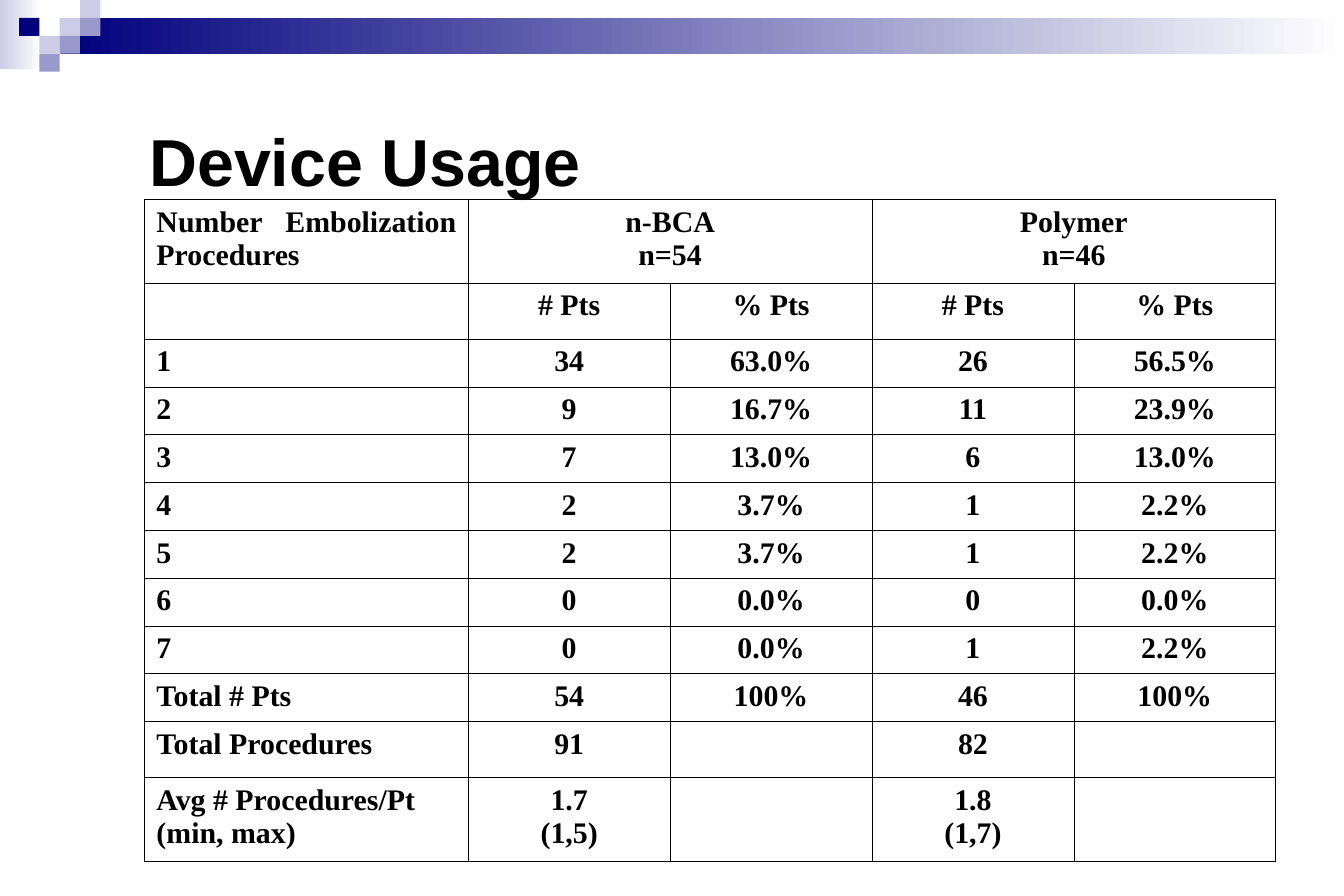
from lxml import etree
from pptx import Presentation
from pptx.dml.color import RGBColor
from pptx.enum.shapes import MSO_SHAPE
from pptx.enum.text import MSO_ANCHOR, PP_ALIGN
from pptx.oxml.ns import qn
from pptx.util import Inches, Pt

RECT = MSO_SHAPE.RECTANGLE
LEFT, CENTER, JUSTIFY = PP_ALIGN.LEFT, PP_ALIGN.CENTER, PP_ALIGN.JUSTIFY
COLORS = {"black": "000000", "white": "FFFFFF", "navy": "00007D",
          "violet": "9999CC", "lilac": "CCCCE6"}


def add_rect(left, top, width, height):
    sp = s.shapes.add_shape(RECT, Inches(left), Inches(top), Inches(width), Inches(height))
    sp.shadow.inherit = False
    sp.line.fill.background()
    return sp


def add_bold_run(p, text, font, size):
    r = p.add_run()
    r.text = text
    r.font.name = font
    r.font.size = Pt(size)
    r.font.bold = True
    r.font.color.rgb = RGBColor.from_string(COLORS["black"])


prs = Presentation()
prs.slide_width, prs.slide_height = Inches(11.25), Inches(7.5)
s = prs.slides.add_slide(prs.slide_layouts[6])

# Header band: two fades running right to left, then a checker of squares
for box, end_color in [((0, 0, 0.35, 0.58), "lilac"), ((0.51, 0.15, 10.74, 0.3), "navy")]:
    fill = add_rect(*box).fill
    fill.gradient()
    fill.gradient_angle = 180
    for stop, color in zip(fill.gradient_stops, ("white", end_color)):
        stop.color.rgb = RGBColor.from_string(COLORS[color])

SQUARE_W, SQUARE_H = 0.17, 0.15
squares = [(2, 1, "lilac"), (3, 0, "lilac"), (3, 1, "violet"), (1, 2, "lilac"),
           (0, 1, "navy"), (2, 2, "violet"), (1, 3, "violet")]
for col, row, color in squares:
    sp = add_rect(0.16 + col * SQUARE_W, row * SQUARE_H, SQUARE_W, SQUARE_H)
    sp.fill.solid()
    sp.fill.fore_color.rgb = RGBColor.from_string(COLORS[color])

# Table: one string per cell, a line break starts a new paragraph
rows = [
    ["Number Embolization Procedures", "n-BCA\nn=54", "", "Polymer\nn=46", ""],
    ["", "# Pts", "% Pts", "# Pts", "% Pts"],
    ["1", "34", "63.0%", "26", "56.5%"],
    ["2", "9", "16.7%", "11", "23.9%"],
    ["3", "7", "13.0%", "6", "13.0%"],
    ["4", "2", "3.7%", "1", "2.2%"],
    ["5", "2", "3.7%", "1", "2.2%"],
    ["6", "0", "0.0%", "0", "0.0%"],
    ["7", "0", "0.0%", "1", "2.2%"],
    ["Total # Pts", "54", "100%", "46", "100%"],
    ["Total Procedures", "91", "", "82", ""],
    ["Avg # Procedures/Pt\n(min, max)", "1.7\n(1,5)", "", "1.8\n(1,7)", ""],
]
col_widths = [2.71] + [1.69] * 4
row_heights = [0.7, 0.47] + [0.4] * 8 + [0.47, 0.7]
table = s.shapes.add_table(len(rows), len(col_widths), Inches(1.21), Inches(1.67),
                           Inches(sum(col_widths)), Inches(sum(row_heights))).table
table.first_row = table.horz_banding = False
for column, width in zip(table.columns, col_widths):
    column.width = Inches(width)
for table_row, height in zip(table.rows, row_heights):
    table_row.height = Inches(height)
for col in (1, 3):
    table.cell(0, col).merge(table.cell(0, col + 1))

for i, row in enumerate(rows):
    for j, text in enumerate(row):
        cell = table.cell(i, j)
        tcPr = cell._tc.get_or_add_tcPr()
        for side in ("a:lnL", "a:lnR", "a:lnT", "a:lnB"):
            ln = etree.SubElement(tcPr, qn(side), w=str(Pt(0.45)))
            line_fill = etree.SubElement(ln, qn("a:solidFill"))
            etree.SubElement(line_fill, qn("a:srgbClr"), val=COLORS["black"])
        cell.fill.background()
        if not text:
            continue
        tf = cell.text_frame
        for n, line in enumerate(text.split("\n")):
            p = tf.add_paragraph() if n else tf.paragraphs[0]
            p.alignment = CENTER if j else LEFT if i else JUSTIFY
            add_bold_run(p, line, "Times New Roman", 18)

# Title
title = s.shapes.add_textbox(Inches(0.38), Inches(1), Inches(8.73), Inches(0.67))
tf = title.text_frame
tf.word_wrap = True
tf.vertical_anchor = MSO_ANCHOR.MIDDLE
tf.margin_left = Inches(0.87)
add_bold_run(tf.paragraphs[0], "Device Usage", "Arial", 40)

prs.save("out.pptx")
